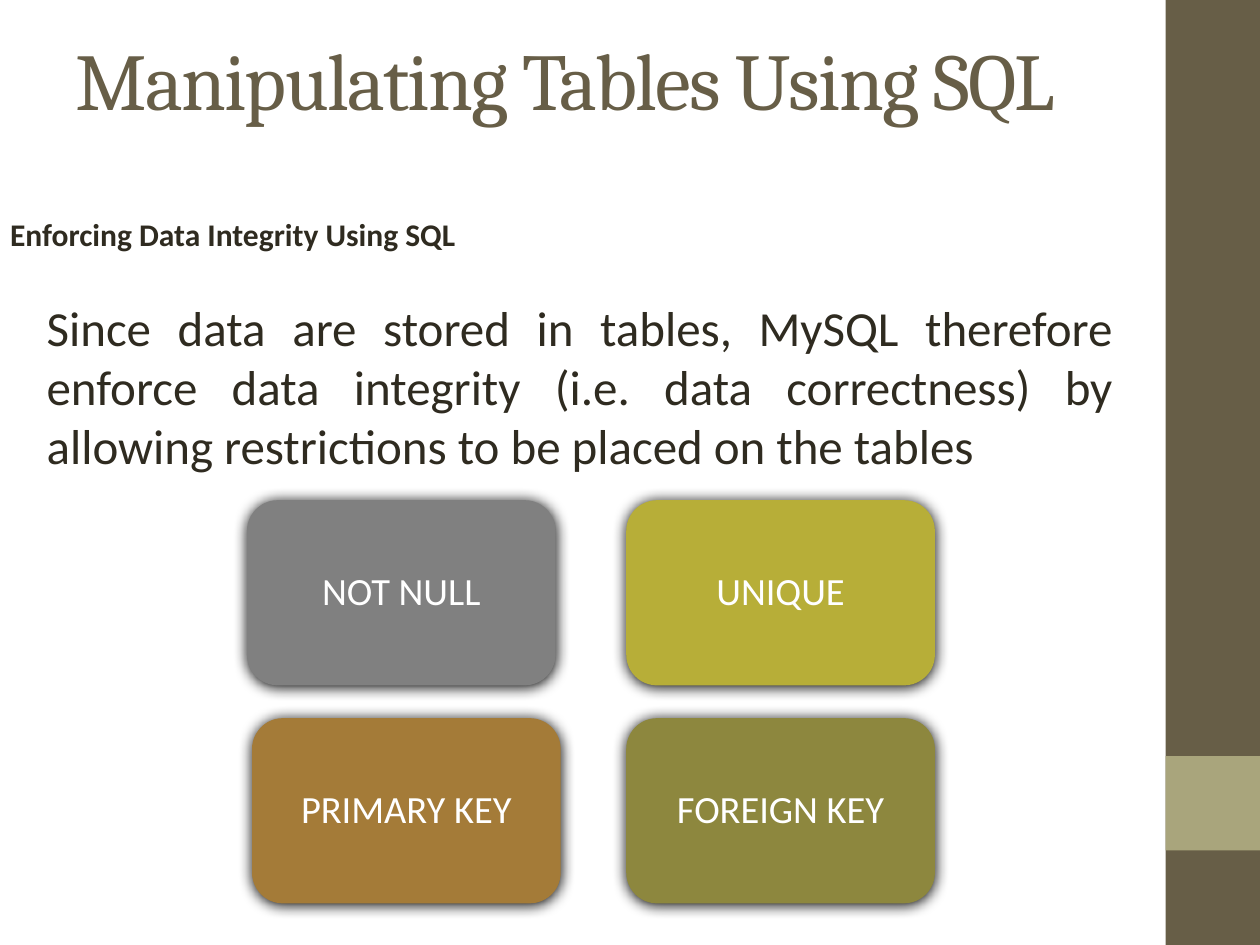
from dataclasses import dataclass

from lxml import etree
from pptx import Presentation
from pptx.dml.color import RGBColor
from pptx.enum.shapes import MSO_SHAPE
from pptx.enum.text import MSO_ANCHOR, MSO_AUTO_SIZE, PP_ALIGN
from pptx.oxml.ns import qn
from pptx.util import Inches, Pt

RECT, ROUNDED = MSO_SHAPE.RECTANGLE, MSO_SHAPE.ROUNDED_RECTANGLE
LEFT, CENTER, JUSTIFY = PP_ALIGN.LEFT, PP_ALIGN.CENTER, PP_ALIGN.JUSTIFY
TOP, MIDDLE = MSO_ANCHOR.TOP, MSO_ANCHOR.MIDDLE

# Content
TITLE = "Manipulating Tables Using SQL"
SUBTITLE = "Enforcing Data Integrity Using SQL"
BODY = ("Since data are stored in tables, MySQL therefore enforce data integrity "
        "(i.e. data correctness) by allowing restrictions to be placed on the tables")
CONSTRAINTS = [  # label, fill, nudge to the left in inches
    ("NOT NULL", "808080", 0.04),
    ("UNIQUE", "B7AE38", 0),
    ("PRIMARY KEY", "A47B38", 0),
    ("FOREIGN KEY", "8D873E", 0),
]


@dataclass(frozen=True)
class Theme:
    heading: str = "Cambria"
    text: str = "Calibri"
    dark: str = "675E47"
    accent: str = "A9A57C"
    ink: str = "2F2B20"
    white: str = "FFFFFF"
    title_pt: int = 46
    subtitle_pt: int = 18
    body_pt: int = 28
    card_pt: int = 22


T = Theme()

# Layout in inches
W, H = 10, 7.5
BAR_W = 0.75
CARD_W, CARD_H = 2.45, 1.47
GRID_X, GRID_Y, STEP_X, STEP_Y, COLS = 2, 3.97, 2.97, 1.73, 2


def place(sp, x, y, w, h):
    sp.left, sp.top, sp.width, sp.height = map(Inches, (x, y, w, h))


def write(sp, text, size, color, font=T.text, align=LEFT, anchor=TOP, bold=False):
    tf = sp.text_frame
    tf.text = text
    tf.word_wrap = True
    tf.auto_size = MSO_AUTO_SIZE.NONE
    tf.vertical_anchor = anchor
    p = tf.paragraphs[0]
    p.alignment = align
    r = p.runs[0]
    r.font.name, r.font.size, r.font.bold = font, Pt(size), bold
    r.font.color.rgb = RGBColor.from_string(color)
    return p


def add_block(slide, kind, box, color):
    sp = slide.shapes.add_shape(kind, *map(Inches, box))
    sp.shadow.inherit = False
    sp.fill.solid()
    sp.fill.fore_color.rgb = RGBColor.from_string(color)
    sp.line.fill.background()
    return sp


def add_shadow(sp):
    effects = sp._element.spPr.find(qn("a:effectLst"))
    shadow = etree.SubElement(effects, qn("a:outerShdw"), blurRad=str(Pt(8.5)),
                              dist=str(Pt(1)), dir="5400000", algn="ctr", rotWithShape="0")
    etree.SubElement(shadow, qn("a:srgbClr"), val="000000")


prs = Presentation()
prs.slide_width, prs.slide_height = Inches(W), Inches(H)
slide = prs.slides.add_slide(prs.slide_layouts[1])

# Side bar
add_block(slide, RECT, (W - BAR_W, 0, BAR_W, H), T.dark)
add_block(slide, RECT, (W - BAR_W, H * 0.8, BAR_W, BAR_W), T.accent)

# Title
title = slide.shapes.title
place(title, 0.5, 0, 8.33, 1.25)
p = write(title, TITLE, T.title_pt, T.dark, T.heading, anchor=MIDDLE)
p.runs[0].font._element.set("spc", "-100")

# Subtitle
sub = slide.shapes.add_textbox(*map(Inches, (0, 1.76, 8.94, 0.35)))
p = write(sub, SUBTITLE, T.subtitle_pt, T.ink, bold=True)
p.line_spacing = Pt(18)
tf = sub.text_frame
tf.margin_left = tf.margin_right = Inches(0.08)
tf.margin_top = tf.margin_bottom = 0

# Body
body = slide.placeholders[1]
place(body, 0.27, 2.31, 8.66, 5.02)
p = write(body, BODY, T.body_pt, T.ink, align=JUSTIFY)
p.space_before = Pt(0)
pPr = p._p.get_or_add_pPr()
pPr.set("marL", "0")
pPr.set("indent", "0")
etree.SubElement(pPr, qn("a:buNone"))

# Constraint cards
for i, (label, color, nudge) in enumerate(CONSTRAINTS):
    row, col = divmod(i, COLS)
    box = (GRID_X + col * STEP_X - nudge, GRID_Y + row * STEP_Y, CARD_W, CARD_H)
    card = add_block(slide, ROUNDED, box, color)
    add_shadow(card)
    p = write(card, label, T.card_pt, T.white, align=CENTER, anchor=MIDDLE)
    p.line_spacing = 0.9
    tf = card.text_frame
    tf.margin_left = tf.margin_right = tf.margin_top = tf.margin_bottom = Inches(0.09)

prs.save("out.pptx")
